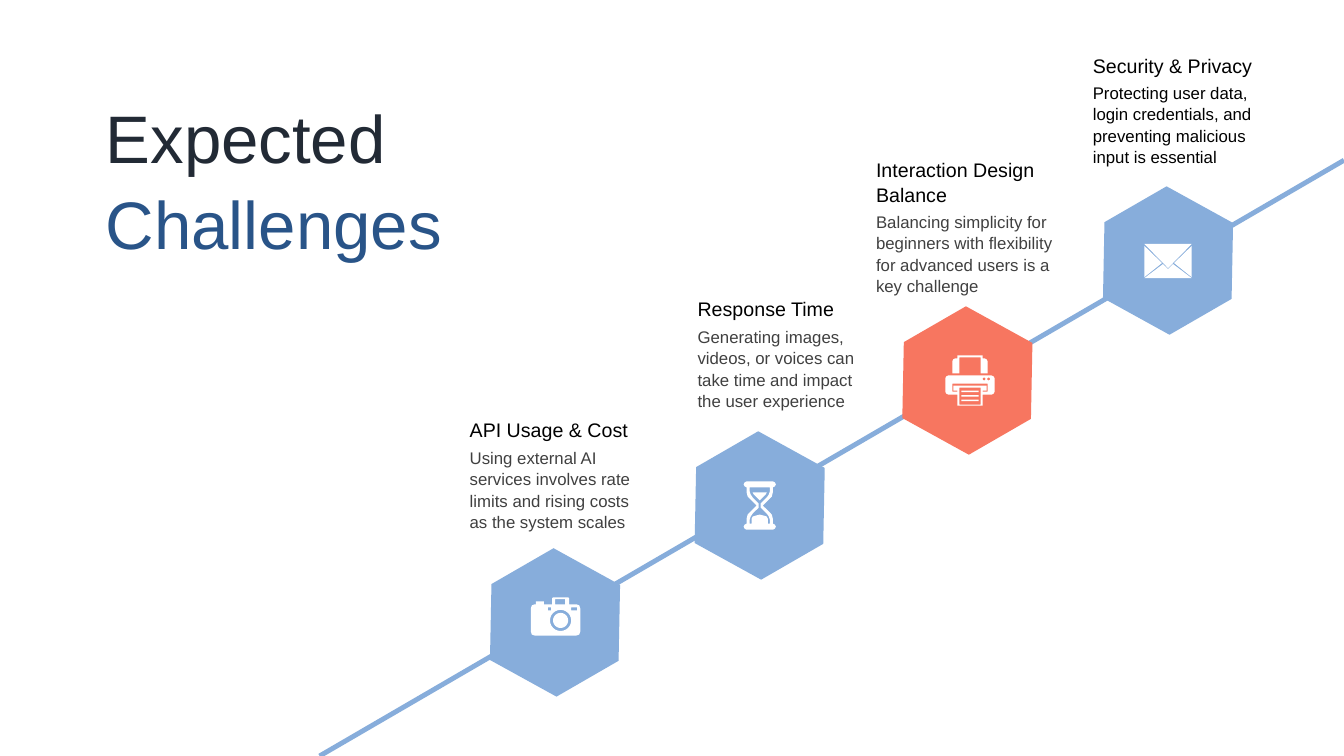
from math import cos, pi, sin

from lxml import etree
from pptx import Presentation, util as u
from pptx.dml.color import RGBColor
from pptx.enum import shapes as s, text as t
from pptx.oxml.ns import qn

# Grid: ten columns and ten rows to the inch
COLS, ROWS = 133.3, 75
BLUE, CORAL, WHITE = "87ADDB", "F77660", "FFFFFF"
BLACK, GREY, INK, NAVY = "000000", "404040", "222A35", "295488"
HEX_W, HEX_H = 14.9, 12.9
CARD_W, BODY_H = 19.9, 9.1


def grid(n):
    return u.Inches(n / 10)


def color(code):
    return RGBColor.from_string(code)


def paint(shape, fill):
    shape.shadow.inherit = False
    shape.fill.solid()
    shape.fill.fore_color.rgb = color(fill)
    shape.line.fill.background()


def write(slide, box, lines, size, inks, anchor=t.MSO_ANCHOR.TOP):
    frame = slide.shapes.add_textbox(*map(grid, box)).text_frame
    frame.word_wrap = True
    frame.vertical_anchor = anchor
    for i, (line, ink) in enumerate(zip(lines, inks)):
        para = frame.add_paragraph() if i else frame.paragraphs[0]
        para.line_spacing = 1.06
        run = para.add_run()
        run.text = line
        run.font.name = "Arial"
        run.font.size = u.Pt(size)
        run.font.color.rgb = color(ink)


# Icon outlines, in hundredths of an inch around the icon's centre
def rect(x, y, w, h):
    return [(x, y), (x + w, y), (x + w, y + h), (x, y + h)]


def curved(x, y, w, h, r):
    corners = [(x + w - r, y + h - r), (x + r, y + h - r),
               (x + r, y + r), (x + w - r, y + r)]
    return [(cx + r * cos((q + k / 6) * pi / 2),
             cy + r * sin((q + k / 6) * pi / 2))
            for q, (cx, cy) in enumerate(corners) for k in range(7)]


def disc(x, y, r):
    return curved(x - r, y - r, 2 * r, 2 * r, r)


def mirror(half):
    return half + [(-x, y) for x, y in reversed(half)]


def camera():
    body = [(-24, -14), (-23, -17), (-20, -18), (-19, -18), (-19, -21),
            (-11, -21), (-11, -18), (-3, -18), (-3, -24), (-2, -25),
            (13, -25), (14, -24), (14, -18), (21, -18), (24, -17),
            (25, -14), (25, 9), (24, 12), (21, 13), (-20, 13),
            (-23, 12), (-24, 9)]
    return [body, disc(5.5, -2, 10.5), disc(5.5, -2, 7.5),
            rect(-7, -15, 3, 3), rect(16, -15, 6, 3), rect(0, -23, 10, 5)]


def hourglass():
    half = [(-13, -24), (-15, -23), (-16, -21), (-15, -19), (-13, -18),
            (-13, -13), (-12, -9), (-9, -6), (-3, 0), (-9, 6), (-12, 9),
            (-13, 13), (-13, 18), (-15, 19), (-16, 21), (-15, 23), (-13, 24)]
    glass = [(-10, -18), (-10, -14), (-9, -11), (-7, -8), (-1, -2),
             (-1, 2), (-7, 8), (-9, 11), (-10, 14), (-10, 18)]
    upper = [(-7, -13), (-6, -11), (0, -5)]
    lower = [(-8, 18), (-8, 13), (-7, 11), (-4, 10), (0, 9)]
    return [mirror(p) for p in (half, glass, upper, lower)]


def printer():
    case = [(-24, -2), (-23, -4), (-21, -5), (22, -5), (24, -4), (25, -2),
            (25, 11), (24, 13), (22, 14), (13, 14), (13, 25), (-12, 25),
            (-12, 14), (-21, 14), (-23, 13), (-24, 11)]
    slot = [(-17, 3), (18, 3), (18, 11), (13, 11), (13, 10), (17, 10),
            (17, 5), (-16, 5), (-16, 10), (-12, 10), (-12, 11), (-17, 11)]
    tray = [(-17, -7), (-17, -19), (-16, -21), (-14, -22), (-12, -22),
            (-12, -25), (13, -25), (13, -22), (15, -22), (17, -21),
            (18, -19), (18, -7), (11, -7), (11, -23), (-10, -23), (-10, -7)]
    rows = [rect(-8, y, 17, 1.5) for y in (10, 14.5, 19)]
    dots = [disc(x, -1.5, 1.4) for x in (14.5, 19)]
    return [case, slot, tray, rect(-10, 7, 21, 17), *rows, *dots]


def letter():
    flap = [(-23.5, -16.5), (23.5, -16.5), (0, 7.5)]
    left = [(-23.5, -14.5), (-6, 2.5), (-23.5, 16.5)]
    base = [(-5, 3.5), (0, 8.5), (5, 3.5), (23.5, 17.5), (-23.5, 17.5)]
    return [flap, left, [(-x, y) for x, y in left], base]


def glyph(slide, x, y, paths):
    pen = None
    for path in paths:
        pts = [(a * 100, b * 100) for a, b in path]
        if pen is None:
            pen = slide.shapes.build_freeform(*pts[0], scale=91.44)
        else:
            pen.move_to(*pts[0])
        pen.add_line_segments(pts[1:], close=True)
    paint(pen.convert_to_shape(grid(x), grid(y)), WHITE)


# Regions
def heading(slide, box):
    write(slide, box, ["Expected", "Challenges"], 48, [INK, NAVY],
          t.MSO_ANCHOR.MIDDLE)


def path_line(slide, x1, y1, x2, y2):
    line = slide.shapes.add_connector(
        s.MSO_CONNECTOR.STRAIGHT, *map(grid, (x1, y1, x2, y2)))
    line.line.color.rgb = color(BLUE)
    line.line.width = u.Pt(3.5)
    etree.SubElement(line._element.spPr, qn("a:effectLst"))


def badge(slide, x, y, fill, icon, shift):
    tile = slide.shapes.add_shape(
        s.MSO_SHAPE.HEXAGON, *map(grid, (x, y, HEX_W, HEX_H)))
    tile.adjustments[0] = 0.302
    tile.rotation = 330
    paint(tile, fill)
    glyph(slide, x + HEX_W / 2 + shift, y + HEX_H / 2, icon())


def card(slide, x, y, head_h, head, body, ink):
    write(slide, (x, y, CARD_W, head_h), [head], 14, [BLACK],
          t.MSO_ANCHOR.MIDDLE)
    write(slide, (x, y + head_h - 0.5, CARD_W, BODY_H), [body], 12, [ink])


# Badge place, fill, icon, icon shift; card place, heading height, words, ink
STEPS = [
    ((47.6, 55.3, BLUE, camera, 0),
     (45.6, 40.9, 3.4, "API Usage & Cost",
      "Using external AI services involves rate limits and rising costs "
      "as the system scales", GREY)),
    ((67.9, 43.7, BLUE, hourglass, 0),
     (68.2, 28.9, 3.4, "Response Time",
      "Generating images, videos, or voices can take time and impact "
      "the user experience", GREY)),
    ((88.5, 31.3, CORAL, printer, 0.2),
     (85.9, 15.2, 5.7, "Interaction Design Balance",
      "Balancing simplicity for beginners with flexibility for advanced "
      "users is a key challenge", GREY)),
    ((108.4, 19.4, BLUE, letter, 0),
     (107.4, 4.7, 3.4, "Security & Privacy",
      "Protecting user data, login credentials, and preventing malicious "
      "input is essential", BLACK)),
]


def main():
    deck = Presentation()
    deck.slide_width, deck.slide_height = grid(COLS), grid(ROWS)
    slide = deck.slides.add_slide(deck.slide_layouts[6])
    heading(slide, (9.5, 9, 86.3, 17.2))
    path_line(slide, 31.7, ROWS, COLS, 15.9)
    for mark, words in STEPS:
        badge(slide, *mark)
        card(slide, *words)
    deck.save("out.pptx")


if __name__ == "__main__":
    main()
